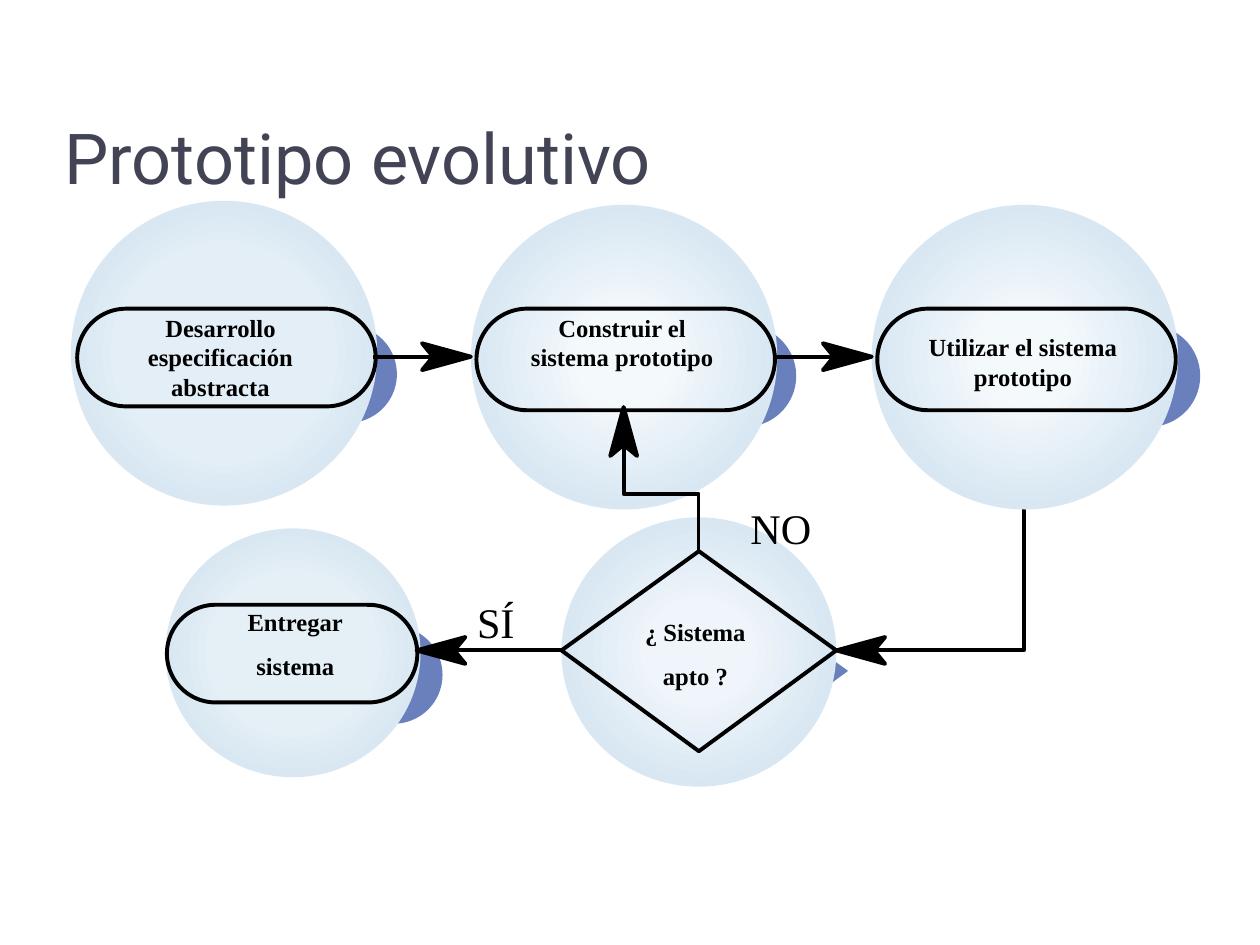
from pptx import Presentation
from pptx.dml.color import RGBColor
from pptx.enum.shapes import MSO_CONNECTOR, MSO_SHAPE
from pptx.enum.text import MSO_ANCHOR, PP_ALIGN
from pptx.oxml.ns import qn
from pptx.util import Inches, Pt
from lxml.etree import SubElement

WIDTH, HEIGHT, COLS = 9.96, 7.47, 160
COLORS = {"title": "424456", "ink": "000000", "shade": "6980BC", "rim": "D8E7F2",
          "start": "E3EEF6", "bright": "F4F9FC", "end": "E5EFF6", "choice": "EFF5FA"}
SERIF = "Times New Roman"


def cell(n):
    return Inches(n * WIDTH / COLS)


def style(sp, fill=None, line=None):
    sp.shadow.inherit = False
    if fill:
        sp.fill.solid()
        sp.fill.fore_color.rgb = RGBColor.from_string(fill)
    else:
        sp.fill.background()
    if line:
        sp.line.color.rgb = RGBColor.from_string(line)
        sp.line.width = Pt(2.25)
    else:
        sp.line.fill.background()


def preset(s, kind, box, fill=None, line=None):
    sp = s.shapes.add_shape(kind, *map(cell, box))
    style(sp, fill, line)
    if kind == MSO_SHAPE.ROUNDED_RECTANGLE:
        sp.adjustments[0] = 0.5


def outline(s, points, fill=None, line=None, close=True):
    pts = [(cell(x), cell(y)) for x, y in points]
    fb = s.shapes.build_freeform(*pts[0])
    fb.add_line_segments(pts[1:], close=close)
    style(fb.convert_to_shape(), fill, line)


def text(s, box, lines, size=14, font=SERIF, color="ink", bold=False,
         align=PP_ALIGN.LEFT, anchor=MSO_ANCHOR.TOP):
    tf = s.shapes.add_textbox(*map(cell, box)).text_frame
    tf.word_wrap = True
    tf.vertical_anchor = anchor
    for i, line in enumerate(lines):
        p = tf.paragraphs[0] if i == 0 else tf.add_paragraph()
        p.text = line
        p.alignment = align
        p.space_before = Pt(8 if i else 0)
        p.font.size, p.font.name, p.font.bold = Pt(size), font, bold
        p.font.color.rgb = RGBColor.from_string(COLORS[color])


def halo(s, box, rings, center):
    x, y, w, h = box
    rim, core = (RGBColor.from_string(COLORS[c]) for c in ("rim", center))
    for i in range(rings):
        share = i / (rings - 1)
        fill = "".join(f"{round(a + (b - a) * share):02X}" for a, b in zip(rim, core))
        preset(s, MSO_SHAPE.OVAL, (x + i, y + i, w - 2 * i, h - 2 * i), fill)


def caption(s, box, offset, lines):
    text(s, (box[0] + offset[0], box[1] + offset[1], 29.4, 12), lines,
         bold=True, align=PP_ALIGN.CENTER)


def step(s, box, rings, center, pill, shift, offset, lines):
    x, y = box[0] + pill[0], box[1] + pill[1]
    size = pill[2:]
    preset(s, MSO_SHAPE.ROUNDED_RECTANGLE, (x + shift[0], y + shift[1], *size), COLORS["shade"])
    halo(s, box, rings, center)
    preset(s, MSO_SHAPE.ROUNDED_RECTANGLE, (x, y, *size), line=COLORS["ink"])
    caption(s, box, offset, lines)


def decision(s, box, lines):
    x, y, w, h = box
    top, mid, low = y + 4.3, y + 16.9, y + 29.7
    points = [(x, mid), (x + w / 2, top), (x + w, mid), (x + w / 2, low)]
    outline(s, [(px + 1.5, py + 2.6) for px, py in points], COLORS["shade"])
    halo(s, box, 11, "choice")
    outline(s, points, line=COLORS["ink"])
    caption(s, box, (2.3, 11.9), lines)


def head(s, tip, dx, dy):
    x, y = tip
    shape = [(0, 0), (6.2, 1.7), (4.8, 0), (6.2, -1.7)]
    outline(s, [(x - dx * a - dy * b, y - dy * a + dx * b) for a, b in shape],
            COLORS["ink"], COLORS["ink"])


def arrow(s, start, tip):
    way = 1 if tip > start else -1
    y = start[1]
    c = s.shapes.add_connector(MSO_CONNECTOR.STRAIGHT, cell(start[0]), cell(y),
                               cell(tip[0] - way * 4), cell(y))
    c.line.color.rgb = RGBColor.from_string(COLORS["ink"])
    c.line.width = Pt(2.25)
    SubElement(c._element.spPr, qn("a:effectLst"))
    head(s, tip, way, 0)


def elbow(s, points, tip, dx, dy):
    outline(s, points, line=COLORS["ink"], close=False)
    head(s, tip, dx, dy)


def flowchart(s):
    row, low = 45.3, 82.6
    elbow(s, [(130, row), (130, low), (110, low)], (106.2, low), -1, 0)
    step(s, (9, 25.5, 38.9, 38.7), 6, "start", (0.8, 13.7, 37.9, 12.4), (2.7, 2.1),
         (4.3, 13.4), ["Desarrollo especificación abstracta"])
    for x, top, shift, line in ((59.8, 12.9, 2.7, "Construir el sistema prototipo"),
                                (110.7, 15.4, 3.1, "Utilizar el sistema prototipo")):
        step(s, (x, 26, 38.9, 38.7), 14, "bright", (0.7, 13.2, 37.9, 12.9), (shift, 2.1),
             (4.5, top), [line])
    step(s, (21, 67.1, 32.4, 31.6), 6, "end", (0.2, 9.7, 31.8, 12.4), (3.2, 2.7),
         (1.8, 9.2), ["Entregar", "sistema"])
    decision(s, (71.3, 65.7, 34.9, 34.2), ["¿ Sistema", "apto ?"])
    elbow(s, [(88.7, 70), (88.7, 62.7), (79.2, 62.7), (79.2, 55.3)], (79.2, 51.7), 0, -1)
    for x, tip in ((47.4, 59.8), (98.2, 110.7)):
        arrow(s, (x, row), (tip, row))
    arrow(s, (71.3, low), (52.9, low))
    text(s, (59, 75, 9.3, 8), ["SÍ"], 24)
    text(s, (93.7, 63, 12, 8), ["NO"], 24)


prs = Presentation()
prs.slide_width, prs.slide_height = Inches(WIDTH), Inches(HEIGHT)
s = prs.slides.add_slide(prs.slide_layouts[6])
text(s, (6.6, 10.6, 143.9, 18.6), ["Prototipo evolutivo"], 40, "Roboto", "title",
     anchor=MSO_ANCHOR.MIDDLE)
flowchart(s)
prs.save("out.pptx")
